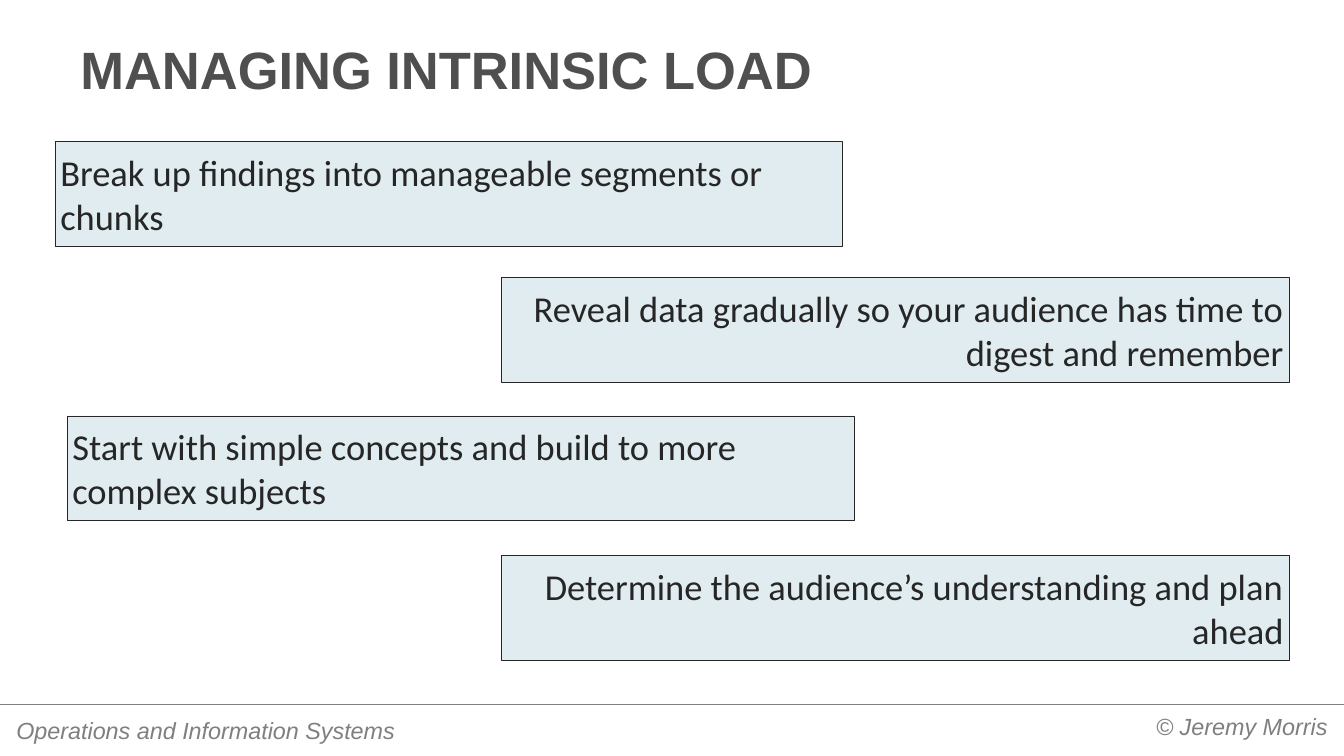
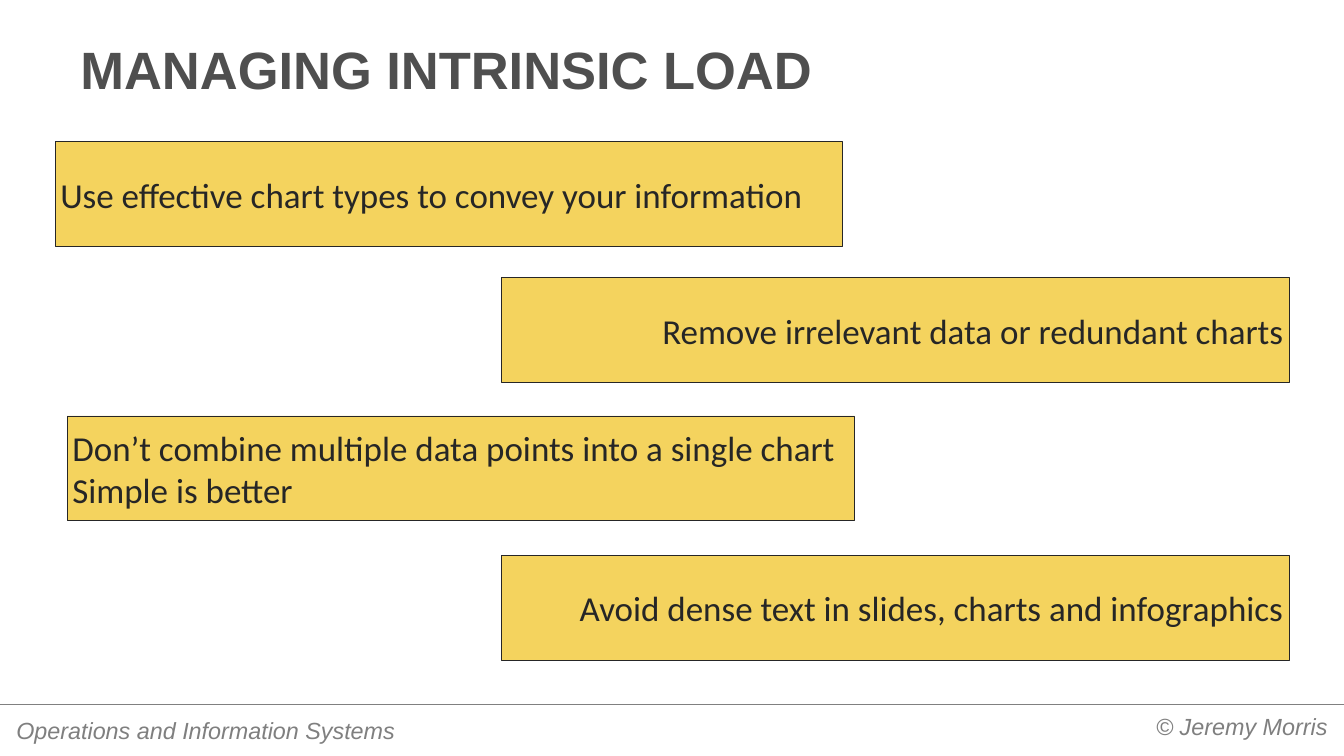
from dataclasses import dataclass

from lxml import etree
from pptx import Presentation
from pptx.dml.color import RGBColor as RGB
from pptx.enum.shapes import MSO_CONNECTOR as Connector, MSO_SHAPE as Shape
from pptx.enum.text import MSO_ANCHOR as Anchor, MSO_AUTO_SIZE as AutoSize, PP_ALIGN as Align
from pptx.oxml.ns import qn
from pptx.util import Inches, Pt


@dataclass(frozen=True)
class Theme:
    title_color: RGB = RGB(0x4F, 0x4F, 0x4F)
    footer_color: RGB = RGB(0x7F, 0x7F, 0x7F)
    rule_color: RGB = RGB(0x80, 0x80, 0x80)
    ink: RGB = RGB(0x26, 0x26, 0x26)
    teal: RGB = RGB(0x31, 0x85, 0x9C)
    yellow: RGB = RGB(0xF4, 0xD3, 0x5E)
    heading_font: str = "Arial"
    body_font: str = "Calibri"
    title_size: int = 72
    footer_size: int = 32
    large_size: int = 50
    medium_size: int = 48
    line_width: float = 0.75


class Deck:
    WIDTH, HEIGHT = 25.6, 14.4
    RULE_TOP = 13.41
    TIP_SIZE = (15, 2)
    TIP_PLACES = [
        (1.05, 2.7, Align.LEFT),
        (9.55, 5.29, Align.RIGHT),
        (1.28, 7.92, Align.LEFT),
        (9.55, 10.58, Align.RIGHT),
    ]

    def __init__(self, theme):
        self.theme = theme
        self.prs = Presentation()
        self.prs.slide_width = Inches(self.WIDTH)
        self.prs.slide_height = Inches(self.HEIGHT)
        self.slide = None

    def set_text(self, frame, text, font, size, color, align, bold=False, italic=False):
        frame.word_wrap = True
        frame.text = text
        for paragraph in frame.paragraphs:
            paragraph.alignment = align
            style = paragraph.font
            style.name, style.size = font, Pt(size)
            style.bold, style.italic = bold, italic
            style.color.rgb = color

    def inset(self, frame, side, end):
        frame.margin_left = frame.margin_right = Inches(side)
        frame.margin_top = frame.margin_bottom = Inches(end)

    def new_slide(self, heading):
        self.slide = self.prs.slides.add_slide(self.prs.slide_layouts[5])
        self.rule()
        self.footer("© Jeremy Morris", (14.58, 13.48, 10.89, 1.26), Align.RIGHT)
        self.footer("Operations and Information Systems", (0.13, 13.56, 8.75, 0.72), Align.LEFT)
        self.title(heading)

    def rule(self):
        top = Inches(self.RULE_TOP)
        rule = self.slide.shapes.add_connector(
            Connector.STRAIGHT, 0, top, Inches(self.WIDTH), top)
        rule.line.color.rgb = self.theme.rule_color
        rule.line.width = Pt(self.theme.line_width)
        etree.SubElement(rule.element.spPr, qn("a:effectLst"))

    def footer(self, text, place, align):
        frame = self.slide.shapes.add_textbox(*map(Inches, place)).text_frame
        self.inset(frame, 0.18, 0.09)
        self.set_text(frame, text, self.theme.heading_font, self.theme.footer_size,
                      self.theme.footer_color, align, italic=True)
        frame.auto_size = AutoSize.SHAPE_TO_FIT_TEXT

    def title(self, text):
        title = self.slide.shapes.title
        title.left, title.top, title.width, title.height = map(Inches, (1.28, 0.53, 23.04, 1.49))
        frame = title.text_frame
        self.inset(frame, 0.25, 0.12)
        self.set_text(frame, text, self.theme.heading_font, self.theme.title_size,
                      self.theme.title_color, Align.LEFT, bold=True)
        frame.vertical_anchor = Anchor.BOTTOM
        frame.auto_size = AutoSize.NONE

    def tip(self, text, left, top, align, size, color, opacity):
        tip = self.slide.shapes.add_shape(
            Shape.RECTANGLE, *map(Inches, (left, top, *self.TIP_SIZE)))
        tip.shadow.inherit = False
        tip.fill.solid()
        tip.fill.fore_color.rgb = color
        if opacity < 100:
            tint = tip.element.spPr.find(qn("a:solidFill")).find(qn("a:srgbClr"))
            etree.SubElement(tint, qn("a:alpha"), val=str(opacity * 1000))
        tip.line.color.rgb = self.theme.ink
        tip.line.width = Pt(self.theme.line_width)
        tip.text_frame.vertical_anchor = Anchor.MIDDLE
        self.set_text(tip.text_frame, text, self.theme.body_font, size, self.theme.ink, align)

    def tips(self, texts, size, color, opacity=100):
        for text, place in zip(texts, self.TIP_PLACES):
            self.tip(text, *place, size, color, opacity)


def main():
    theme = Theme()
    deck = Deck(theme)
    heading = "MANAGING INTRINSIC LOAD"

    deck.new_slide(heading)
    deck.tips([
        "Break up findings into manageable segments or chunks",
        "Reveal data gradually so your audience has time to digest and remember",
        "Start with simple concepts and build to more complex subjects",
        "Determine the audience’s understanding and plan ahead",
    ], theme.large_size, theme.teal, opacity=15)

    deck.new_slide(heading)
    deck.tips([
        "Use effective chart types to convey your information",
        "Remove irrelevant data or redundant charts",
        "Don’t combine multiple data points into a single chart\nSimple is better",
        "Avoid dense text in slides, charts and infographics",
    ], theme.medium_size, theme.yellow)

    deck.prs.save("out.pptx")


if __name__ == "__main__":
    main()
